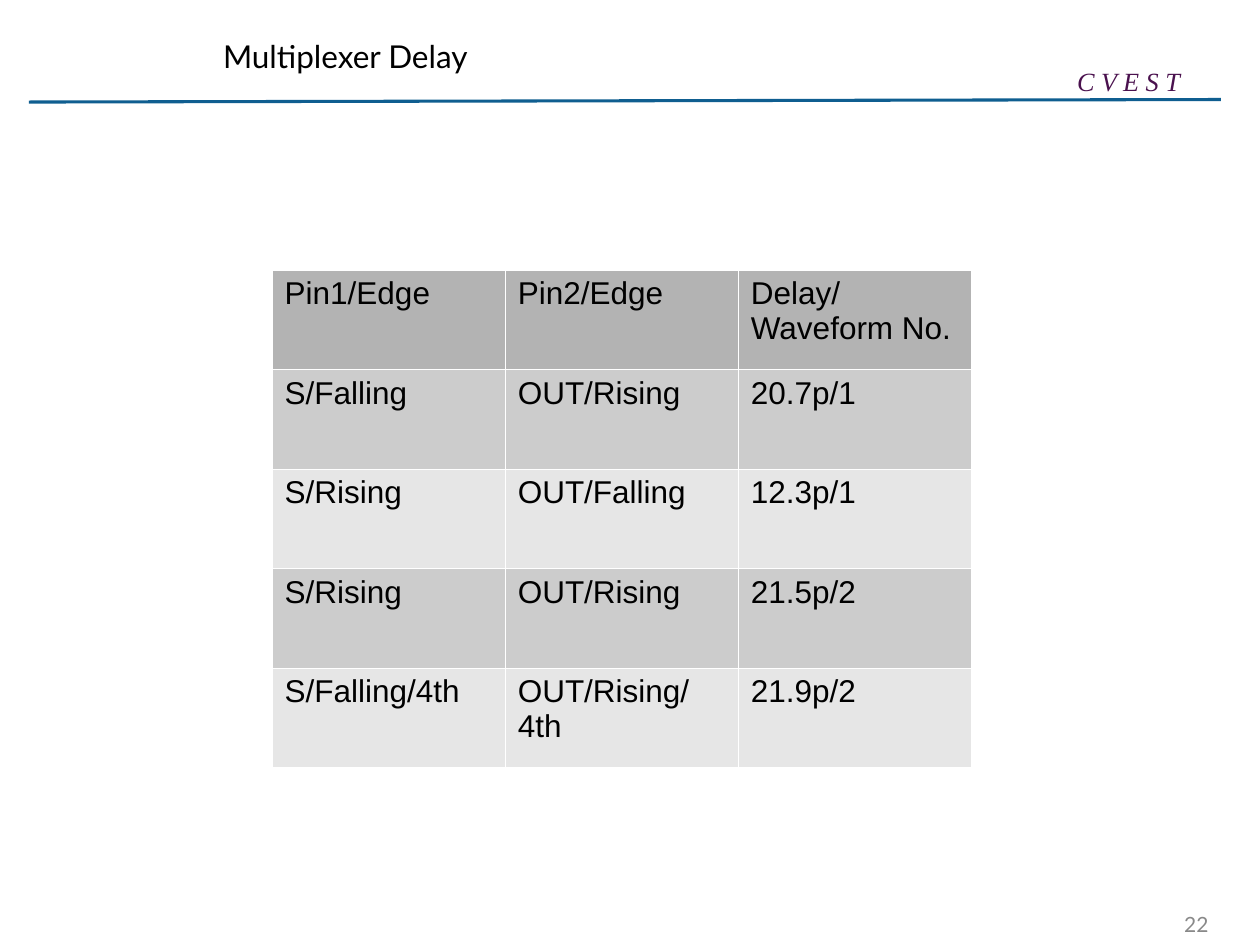
import pptx
import pptx.dml.color
import pptx.enum.shapes
import pptx.enum.text
import pptx.oxml
import pptx.oxml.ns
import pptx.util

Inches = pptx.util.Inches
Pt = pptx.util.Pt
ALIGN = pptx.enum.text.PP_ALIGN
ANCHOR = pptx.enum.text.MSO_ANCHOR

COLORS = {
    "rule": "0F5E90",
    "brand": "4A114E",
    "number": "898989",
    "text": "000000",
    "border": "FFFFFF",
    "header": "B3B3B3",
    "odd": "CCCCCC",
    "even": "E6E6E6",
}

FONTS = {
    "title": {"name": "Lato", "size": Pt(18)},
    "brand": {"name": "Times New Roman", "size": Pt(15), "italic": True},
    "number": {"name": "Lato", "size": Pt(12)},
    "cell": {"name": "Arial", "size": Pt(18), "bold": False},
}

DELAYS = [
    ["Pin1/Edge", "Pin2/Edge", "Delay/Waveform No."],
    ["S/Falling", "OUT/Rising", "20.7p/1"],
    ["S/Rising", "OUT/Falling", "12.3p/1"],
    ["S/Rising", "OUT/Rising", "21.5p/2"],
    ["S/Falling/4th", "OUT/Rising/4th", "21.9p/2"],
]


class SlideBuilder:
    def __init__(self, slide):
        self.slide = slide

    def color(self, key):
        return pptx.dml.color.RGBColor.from_string(COLORS[key])

    def add_text(self, frame, text, font, color, align=ALIGN.LEFT):
        paragraph = frame.paragraphs[0]
        paragraph.alignment = align
        run = paragraph.add_run()
        run.text = text
        for attribute, value in FONTS[font].items():
            setattr(run.font, attribute, value)
        run.font.color.rgb = self.color(color)

    def set_frame(self, frame, anchor):
        settings = {
            "word_wrap": True,
            "auto_size": pptx.enum.text.MSO_AUTO_SIZE.NONE,
            "vertical_anchor": anchor,
        }
        for attribute, value in settings.items():
            setattr(frame, attribute, value)

    def rule(self, start, end):
        line = self.slide.shapes.add_connector(
            pptx.enum.shapes.MSO_CONNECTOR.STRAIGHT,
            *map(Inches, start + end),
        )
        line.line.color.rgb = self.color("rule")
        line.line.width = Pt(1.75)
        properties = line._element.spPr
        properties.append(pptx.oxml.parse_xml(
            f"<a:effectLst {pptx.oxml.ns.nsdecls('a')}/>"))

    def label(self, text, box, style, anchor=ANCHOR.TOP, align=ALIGN.LEFT):
        frame = self.slide.shapes.add_textbox(*map(Inches, box)).text_frame
        self.set_frame(frame, anchor)
        self.add_text(frame, text, style, style, align)

    def title(self, text, box):
        title = self.slide.shapes.title
        for side, value in zip(("left", "top", "width", "height"), box):
            setattr(title, side, Inches(value))
        self.set_frame(title.text_frame, ANCHOR.MIDDLE)
        self.add_text(title.text_frame, text, "title", "text")

    def border(self, cell):
        properties = cell._tc.get_or_add_tcPr()
        for position, side in enumerate("LRTB"):
            properties.insert(position, pptx.oxml.parse_xml(
                f"<a:ln{side} {pptx.oxml.ns.nsdecls('a')} w='{Pt(0.06)}'>"
                f"<a:solidFill><a:srgbClr val='{COLORS['border']}'/>"
                f"</a:solidFill></a:ln{side}>"))

    def table(self, rows, left, top, column_width, row_height):
        columns = len(rows[0])
        table = self.slide.shapes.add_table(
            len(rows), columns, Inches(left), Inches(top),
            Inches(column_width * columns), Inches(row_height * len(rows)),
        ).table
        for column in table.columns:
            column.width = Inches(column_width)
        for index, values in enumerate(rows):
            table.rows[index].height = Inches(row_height)
            band = "header" if index == 0 else "odd" if index % 2 else "even"
            for position, value in enumerate(values):
                cell = table.cell(index, position)
                cell.fill.solid()
                cell.fill.fore_color.rgb = self.color(band)
                self.border(cell)
                self.add_text(cell.text_frame, value, "cell", "text")


def main():
    presentation = pptx.Presentation()
    presentation.slide_width = Inches(10)
    presentation.slide_height = Inches(7.5)
    layout = presentation.slide_layouts[5]
    builder = SlideBuilder(presentation.slides.add_slide(layout))

    builder.rule((0.23, 0.81), (9.69, 0.79))
    builder.label("C V E S T", (8.45, 0.47, 1.29, 0.35), "brand")
    builder.label("22", (8.86, 7.17, 0.83, 0.32), "number",
                  ANCHOR.MIDDLE, ALIGN.RIGHT)
    builder.title("Multiplexer Delay", (1.67, 0.15, 6.29, 0.58))
    builder.table(DELAYS, 2.16, 2.14, 1.85, 0.79)

    presentation.save("out.pptx")


if __name__ == "__main__":
    main()
